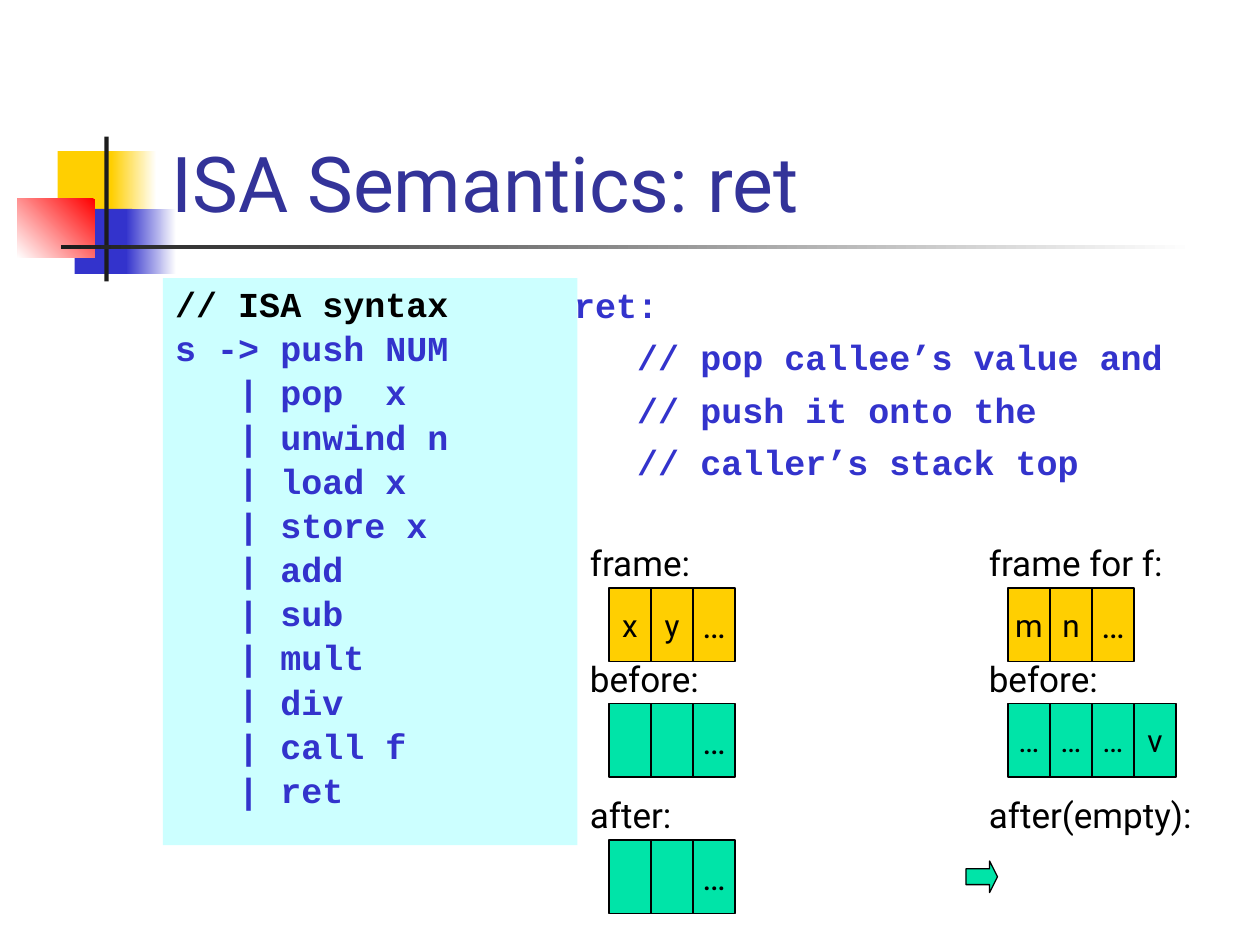
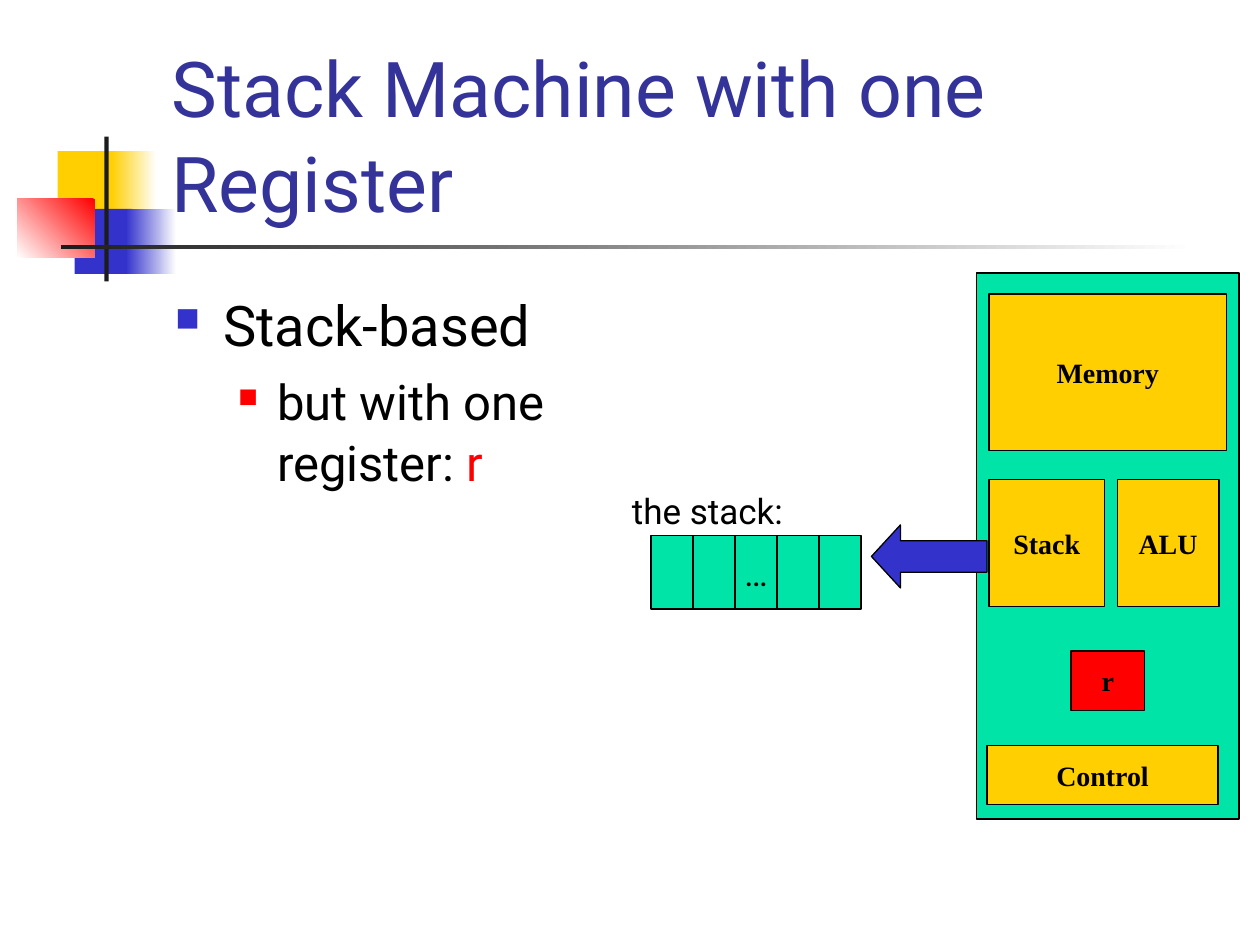
from lxml.etree import SubElement
from pptx import Presentation
from pptx.dml.color import RGBColor
from pptx.enum.shapes import MSO_SHAPE as Preset
from pptx.enum.text import MSO_ANCHOR as Anchor, PP_ALIGN as Align
from pptx.oxml.ns import qn
from pptx.util import Inches, Pt

BLACK = RGBColor(0x00, 0x00, 0x00)
WHITE = RGBColor(0xFF, 0xFF, 0xFF)
CHARCOAL = RGBColor(0x1C, 0x1C, 0x1C)
NAVY = RGBColor(0x33, 0x33, 0x99)
BLUE = RGBColor(0x33, 0x33, 0xCC)
RED = RGBColor(0xFF, 0x00, 0x00)
YELLOW = RGBColor(0xFF, 0xCF, 0x01)
GREEN = RGBColor(0x00, 0xE4, 0xA8)
CYAN = RGBColor(0xCC, 0xFF, 0xFF)

SANS, SERIF, MONO = "Roboto", "Times New Roman", "Courier New"
COLUMNS, ROWS = 120, 90
CELL_WIDTH, CELL_HEIGHT = 4, 7

ORNAMENTS = [
    ((5.5, 14.4, 5.8, 6.2), YELLOW, None, 0),
    ((10.6, 14.4, 4.3, 6.2), WHITE, YELLOW, 180),
    ((7.1, 19.9, 5.5, 6.2), BLUE, None, 0),
    ((12, 19.9, 4.8, 6.2), WHITE, BLUE, 180),
    ((1.65, 18.95, 7.4, 5.6), RED, WHITE, 225),
    ((9.95, 13, 0.4, 13.8), CHARCOAL, None, 0),
    ((5.8, 23.35, 108, 0.4), WHITE, CHARCOAL, 180),
]


class SlideBuilder:
    def __init__(self, deck):
        self.deck = deck
        self.page = None
        self.unit_x = deck.slide_width / COLUMNS
        self.unit_y = deck.slide_height / ROWS

    def place(self, left, top, width, height):
        return (round(left * self.unit_x), round(top * self.unit_y),
                round(width * self.unit_x), round(height * self.unit_y))

    def new_page(self, title):
        self.page = self.deck.slides.add_slide(self.deck.slide_layouts[6])
        for area, color, fade, angle in ORNAMENTS:
            self.shape(area, color, fade=fade, angle=angle, outlined=False)
        box = self.text_box((15.15, 3.1, 102.2, 19.2))
        box.vertical_anchor = Anchor.BOTTOM
        para = self.paragraph(box, line_spacing=1.03)
        self.run(para, title, 44, NAVY)

    def shape(self, area, color, preset=Preset.RECTANGLE, fade=None, angle=0, outlined=True):
        shape = self.page.shapes.add_shape(preset, *self.place(*area))
        shape.shadow.inherit = False
        if fade is None:
            shape.fill.solid()
            shape.fill.fore_color.rgb = color
        else:
            shape.fill.gradient()
            shape.fill.gradient_angle = angle
            for stop, stop_color in zip(shape.fill.gradient_stops, (color, fade)):
                stop.color.rgb = stop_color
        if outlined:
            shape.line.color.rgb = BLACK
            shape.line.width = Pt(0.75)
        else:
            shape.line.fill.background()
        return shape

    def arrow(self, area, color, preset, head):
        arrow = self.shape(area, color, preset)
        arrow.adjustments[0] = 0.5
        arrow.adjustments[1] = head

    def labelled_block(self, area, color, text, size=16, font=SERIF, bold=True):
        block = self.shape(area, color)
        if text:
            frame = block.text_frame
            frame.word_wrap = False
            frame.vertical_anchor = Anchor.MIDDLE
            para = self.paragraph(frame)
            para.alignment = Align.CENTER
            self.run(para, text, size, BLACK, font, bold)

    def text_box(self, area, top_inset=0.05):
        frame = self.page.shapes.add_textbox(*self.place(*area)).text_frame
        frame.word_wrap = True
        frame.margin_top = Inches(top_inset)
        return frame

    def paragraph(self, frame, space=0, line_spacing=1.0, left=0, hanging=0, level=0):
        first = not frame.paragraphs[0].runs
        para = frame.paragraphs[0] if first else frame.add_paragraph()
        para.level = level
        para.line_spacing = line_spacing
        para.space_before = Pt(0 if first else space)
        properties = para._p.get_or_add_pPr()
        properties.set("marL", str(Inches(left)))
        properties.set("indent", str(-Inches(hanging)))
        return para

    def bullet(self, para, color, percent):
        properties = para._p.get_or_add_pPr()
        tint = SubElement(properties, qn("a:buClr"))
        SubElement(tint, qn("a:srgbClr"), val=str(color))
        SubElement(properties, qn("a:buSzPct"), val=str(percent * 1000))
        SubElement(properties, qn("a:buChar"), char="■")

    def run(self, para, text, size, color, font=SANS, bold=False):
        span = para.add_run()
        span.text = text
        span.font.name = font
        span.font.size = Pt(size)
        span.font.bold = bold
        span.font.color.rgb = color

    def code(self, area, lines, line_spacing, top_inset):
        frame = self.text_box(area, top_inset)
        for text, color in lines:
            para = self.paragraph(frame, 6, line_spacing, 0.38, 0.38)
            self.run(para, text, 20, color, MONO, True)

    def label(self, left, top, text, width=24):
        frame = self.text_box((left, top, width, 5.25))
        self.run(self.paragraph(frame), text, 20, BLACK)

    def cells(self, left, top, color, texts, dots_size=20):
        for index, text in enumerate(texts):
            area = (left + index * CELL_WIDTH, top, CELL_WIDTH, CELL_HEIGHT)
            size = dots_size if text == "…" else 18
            self.labelled_block(area, color, text, size, SANS, False)

    def labelled_cells(self, left, top, label, color, texts, dots_size=20):
        self.label(left, top, label)
        self.cells(left + 3, top + 5, color, texts, dots_size)


def build_ret_page(builder):
    builder.new_page("ISA Semantics: ret")
    syntax_area = (15.5, 26.5, 39.5, 54)
    builder.shape(syntax_area, CYAN, outlined=False)
    instructions = ["pop  x", "unwind n", "load x", "store x", "add",
                    "sub", "mult", "div", "call f", "ret"]
    syntax = [("// ISA syntax", BLACK), ("s -> push NUM", BLUE)]
    syntax += [("   | " + instruction, BLUE) for instruction in instructions]
    builder.code(syntax_area, syntax, 0.8, 0.1)

    meaning = ["ret:", "   // pop callee’s value and",
               "   // push it onto the", "   // caller’s stack top"]
    builder.code((53.5, 26, 63.5, 35), [(text, BLUE) for text in meaning], 1.0, 0.08)

    caller, callee = 55, 93
    frame_row, before_row, after_row = 51, 62, 75
    builder.labelled_cells(caller, frame_row, "frame:", YELLOW, ["x", "y", "…"])
    builder.labelled_cells(caller, before_row, "before:", GREEN, ["", "", "…"])
    builder.labelled_cells(caller, after_row, "after:", GREEN, ["", "", "…"])
    builder.labelled_cells(callee, frame_row, "frame for f:", YELLOW, ["m", "n", "…"])
    builder.labelled_cells(callee, before_row, "before:", GREEN, ["…", "…", "…", "v"], 18)
    builder.label(callee, after_row, "after(empty):")
    builder.arrow((92, 82, 3, 3), GREEN, Preset.RIGHT_ARROW, 0.25)


def build_register_page(builder):
    builder.new_page("Stack Machine with one Register")
    builder.labelled_cells(59, 46, "the stack:", GREEN, ["", "", "…", "", ""])

    builder.shape((93, 26, 25, 52), GREEN)
    for area, text in [
        ((94.2, 28, 22.6, 14.9), "Memory"),
        ((94.2, 45.7, 11, 12.1), "Stack"),
        ((106.4, 45.7, 9.7, 12.1), "ALU"),
        ((94, 71, 22, 5.65), "Control"),
    ]:
        builder.labelled_block(area, YELLOW, text)
    builder.arrow((83, 50, 11, 6), BLUE, Preset.LEFT_ARROW, 0.46)
    builder.labelled_block((102, 62, 7, 5.65), RED, "r")

    body = builder.text_box((15.5, 26.5, 46.4, 54), 0.08)
    para = builder.paragraph(body, 8, 1.03, 0.38, 0.38)
    builder.bullet(para, BLUE, 60)
    builder.run(para, "Stack-based", 32, BLACK)
    para = builder.paragraph(body, 7, 1.03, 0.81, 0.31, 1)
    builder.bullet(para, RED, 55)
    builder.run(para, "but with one register: ", 28, BLACK)
    builder.run(para, "r", 28, RED)


def main():
    deck = Presentation()
    deck.slide_width, deck.slide_height = Inches(10), Inches(7.5)
    builder = SlideBuilder(deck)
    build_ret_page(builder)
    build_register_page(builder)
    deck.save("out.pptx")


if __name__ == "__main__":
    main()
